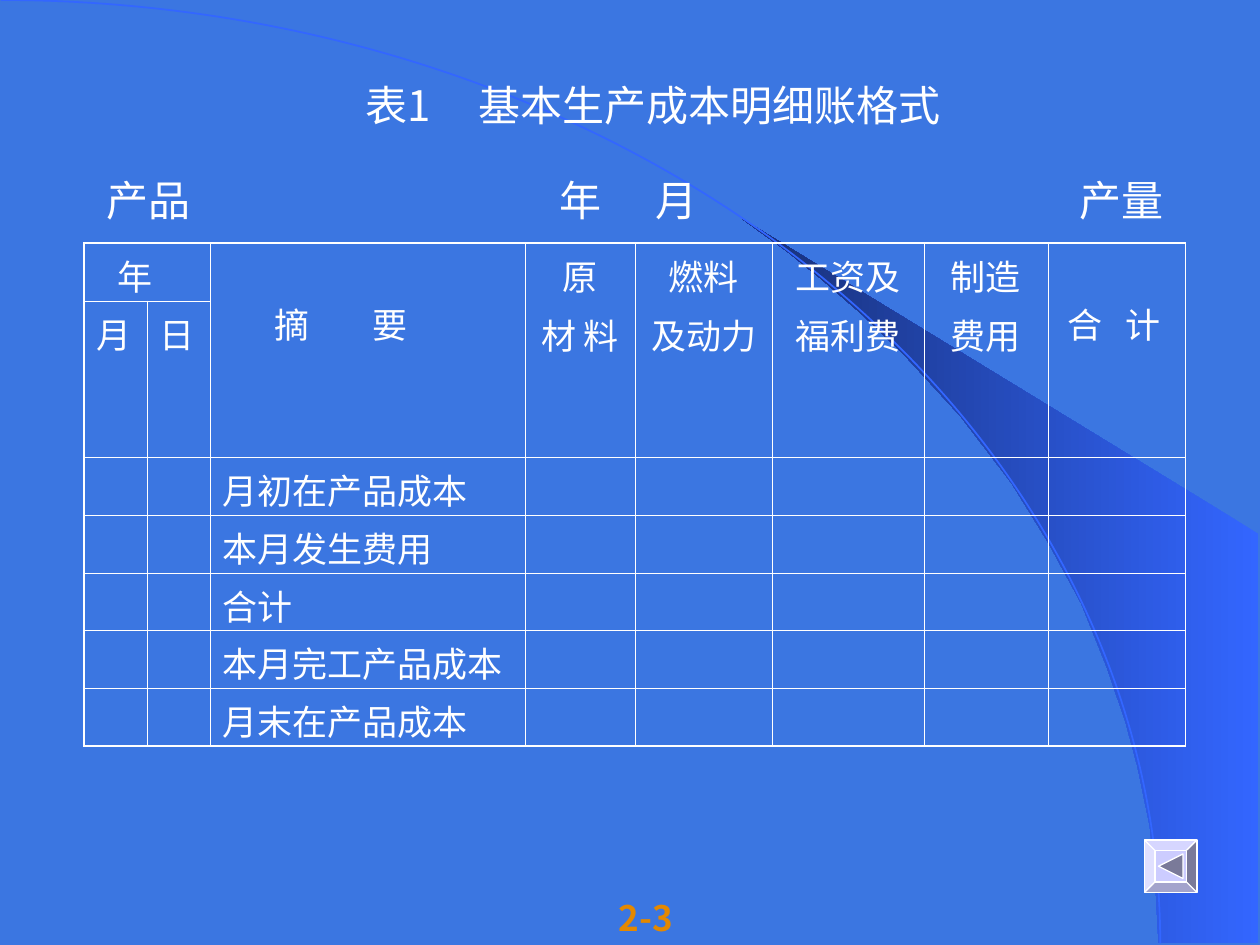
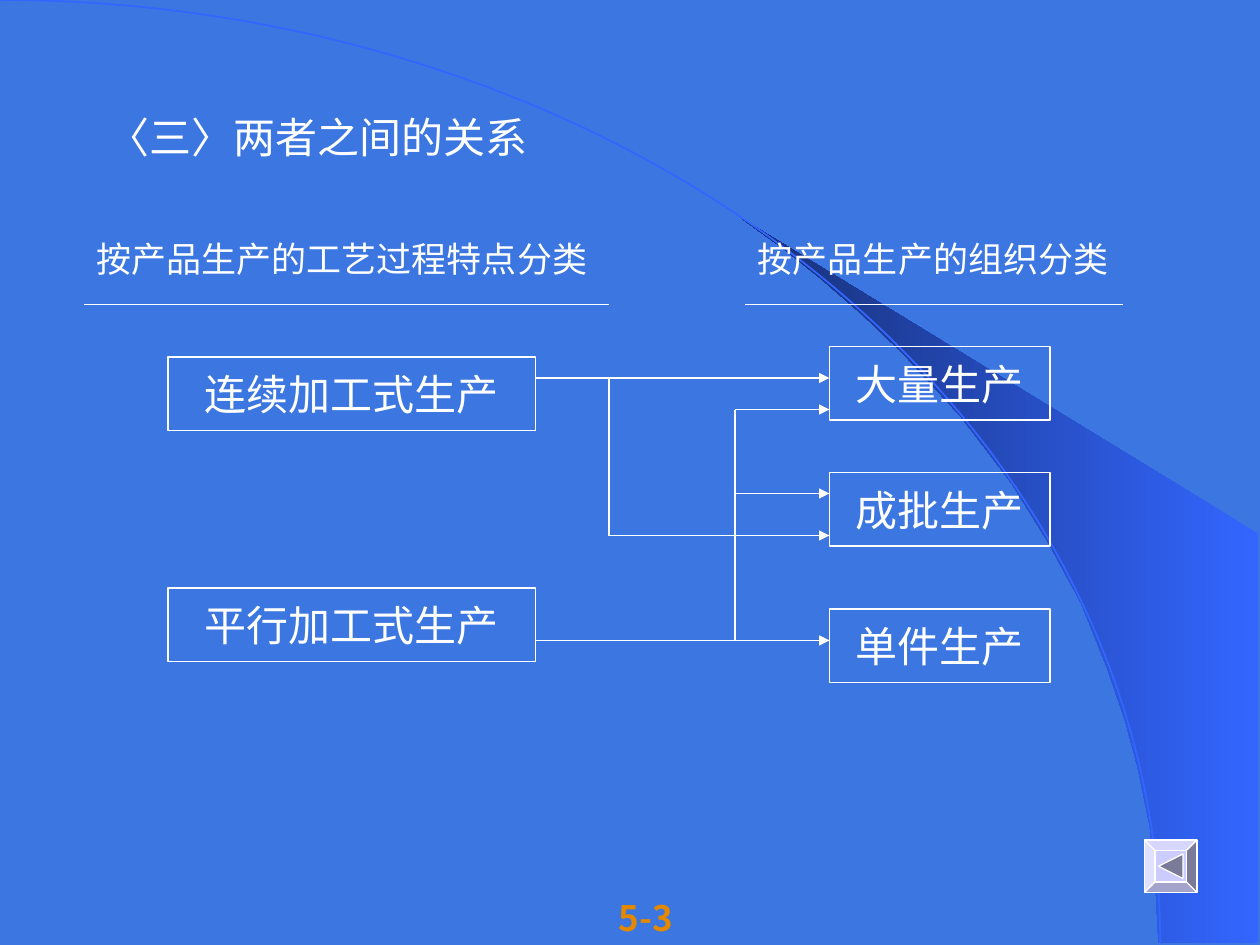
import pptx
import pptx.chart.data
import pptx.dml.color
import pptx.enum.shapes
import pptx.enum.text
import pptx.oxml
import pptx.oxml.ns
import pptx.util
from lxml import etree

Pt = pptx.util.Pt
SHAPE = pptx.enum.shapes.MSO_SHAPE
ALIGN = pptx.enum.text.PP_ALIGN
ANCHOR = pptx.enum.text.MSO_ANCHOR
qn = pptx.oxml.ns.qn

COLORS = {
    "background": "3B76E1",
    "bright": "3366FF",
    "deep": "172F75",
    "white": "FFFFFF",
    "number": "E48800",
    "button": "CCCCFF",
    "arrow": "7A7A99",
}
SANS = "Noto Sans CJK SC"
SERIF = "Times New Roman"

SWEEP = [(662, 539), (719, 539), (719, 305), (424, 125), (449, 143), (470, 160),
         (493, 180), (516, 202), (549, 238), (578, 276), (599, 310), (618, 345),
         (632, 380), (643, 412), (650, 438), (657, 472), (660, 501)]

COLUMN_WIDTHS = [36, 36, 180, 63, 78.5, 86.5, 71, 78.5]
ROW_HEIGHTS = [33, 89.5] + [33] * 5
COST_ITEMS = ["月初在产品成本", "本月发生费用", "合计", "本月完工产品成本", "月末在产品成本"]
COST_HEADERS = ["原\n材 料", "燃料\n及动力", "工资及\n福利费", "制造\n费用"]


def rgb(name):
    return pptx.dml.color.RGBColor.from_string(COLORS[name])


def points(*values):
    return [Pt(value) for value in values]


def write(frame, text, size, font=SERIF, color="white", bold=False,
          align=ALIGN.LEFT, tab=None):
    """Fill a text frame; tab is the position of a single tab stop."""
    frame.text = text
    for index, para in enumerate(frame.paragraphs):
        para.alignment = align
        if index:
            para.space_before = Pt(5)
        if tab:
            stops = etree.SubElement(para._p.get_or_add_pPr(), qn("a:tabLst"))
            etree.SubElement(stops, qn("a:tab"), pos=str(Pt(tab)), algn="l")
        for span in para.runs:
            span.font.size = Pt(size)
            span.font.name = font
            span.font.bold = bold
            span.font.color.rgb = rgb(color)


def set_title(page, text, left, top, width, font, tab=None):
    title = page.shapes.title
    title.left, title.top, title.width, title.height = points(left, top, width, 36)
    frame = title.text_frame
    frame.auto_size = pptx.enum.text.MSO_AUTO_SIZE.NONE
    frame.vertical_anchor = ANCHOR.TOP
    write(frame, text, 24, font, tab=tab)


def add_label(page, text, left, top, width, size, **style):
    box = page.shapes.add_textbox(*points(left, top, width, size * 1.2 + 7.2))
    box.text_frame.word_wrap = True
    write(box.text_frame, text, size, **style)


def add_preset(page, kind, left, top, width, height, fill=None, line="white"):
    shape = page.shapes.add_shape(kind, *points(left, top, width, height))
    shape.shadow.inherit = False
    if fill:
        shape.fill.solid()
        shape.fill.fore_color.rgb = rgb(fill)
    else:
        shape.fill.background()
    shape.line.color.rgb = rgb(line)
    shape.line.width = Pt(0.75)
    return shape


def add_process_box(page, text, left, top, width):
    shape = add_preset(page, SHAPE.RECTANGLE, left, top, width, 42)
    shape.text_frame.word_wrap = False
    shape.text_frame.vertical_anchor = ANCHOR.MIDDLE
    write(shape.text_frame, text, 24, align=ALIGN.CENTER)


def add_line(page, start, end, arrow=False):
    line = page.shapes.add_connector(
        pptx.enum.shapes.MSO_CONNECTOR.STRAIGHT, *points(*start, *end))
    line.line.color.rgb = rgb("white")
    line.line.width = Pt(0.75)
    if arrow:
        etree.SubElement(line.line._get_or_add_ln(), qn("a:tailEnd"), type="triangle")
    etree.SubElement(line.element.spPr, qn("a:effectLst"))


def add_back_button(page):
    bevel = add_preset(page, SHAPE.BEVEL, 654, 480, 30, 30, "button")
    bevel.adjustments[0] = 0.2
    arrow = add_preset(page, SHAPE.ISOSCELES_TRIANGLE, 662, 488, 14, 14, "arrow")
    arrow.rotation = 270


def add_page_number(page, text):
    add_label(page, text, 324, 509, 90, 20, font=SANS, color="number",
              bold=True, align=ALIGN.CENTER)


def decorate_layout(layout, page):
    """Draw the sweep and the arc on a page, then move them to its layout."""
    builder = page.shapes.build_freeform(*SWEEP[0], scale=Pt(1))
    builder.add_line_segments(SWEEP[1:], close=True)
    sweep = builder.convert_to_shape()
    sweep.shadow.inherit = False
    sweep.fill.gradient()
    sweep.fill.gradient_angle = 180
    for stop, color in zip(sweep.fill.gradient_stops, ("bright", "deep")):
        stop.color.rgb = rgb(color)
    sweep.line.fill.background()

    arc = add_preset(page, SHAPE.ARC, -662, 0, 1325, 1078, line="bright")
    arc.line.width = Pt(1)
    for number, shape in enumerate((sweep, arc), start=20):
        shape.element.nvSpPr.cNvPr.set("id", str(number))
        layout.shapes.element.append(shape.element)


def set_borders(cell, widths):
    """Draw the left, right, top and bottom borders, in that order."""
    properties = cell._tc.get_or_add_tcPr()
    for index, (side, width) in enumerate(zip("LRTB", widths)):
        line = etree.Element(qn(f"a:ln{side}"), w=str(Pt(width)))
        fill = etree.SubElement(line, qn("a:solidFill"))
        etree.SubElement(fill, qn("a:srgbClr"), val=COLORS["white"])
        properties.insert(index, line)


def add_ledger(page):
    rows, columns = len(ROW_HEIGHTS), len(COLUMN_WIDTHS)
    table = page.shapes.add_table(
        rows, columns, *points(48, 139, sum(COLUMN_WIDTHS), sum(ROW_HEIGHTS))).table
    table.first_row = table.horz_banding = False
    for column, width in zip(table.columns, COLUMN_WIDTHS):
        column.width = Pt(width)
    for row, height in zip(table.rows, ROW_HEIGHTS):
        row.height = Pt(height)

    for r in range(rows):
        for c in range(columns):
            cell = table.cell(r, c)
            cell.fill.background()
            on_edge = (c == 0, c == columns - 1, r == 0, r == rows - 1)
            set_borders(cell, [1.08 if edge else 0.45 for edge in on_edge])

    table.cell(0, 0).merge(table.cell(0, 1))
    for c in range(2, columns):
        table.cell(0, c).merge(table.cell(1, c))

    year = table.cell(0, 0)
    year.margin_left = Pt(19)
    write(year.text_frame, "年", 20)
    for c, text in enumerate("月日"):
        write(table.cell(1, c).text_frame, text, 20)
    for c, text, indent, tab in ((2, "摘\t要", 37, 56), (7, "合\t计", 11, 33)):
        cell = table.cell(0, c)
        cell.margin_left, cell.margin_top = points(indent, 31)
        write(cell.text_frame, text, 20, tab=tab)
    for c, text in enumerate(COST_HEADERS, start=3):
        write(table.cell(0, c).text_frame, text, 20, align=ALIGN.CENTER)
    for r, text in enumerate(COST_ITEMS, start=2):
        write(table.cell(r, 2).text_frame, text, 20)


def build_ledger_page(page):
    set_title(page, "表1\t基本生产成本明细账格式", 201.5, 42, 353, SANS, tab=65)
    add_label(page, "产量", 610, 96, 64, 24, font=SANS)
    add_label(page, "产品", 54, 96, 64, 24, font=SANS)
    add_label(page, "年\t月", 312.5, 96, 95, 24, font=SANS, tab=55)
    add_ledger(page)
    add_back_button(page)
    add_page_number(page, "2-3")


def build_relation_page(page):
    set_title(page, "〈三〉两者之间的关系", 54, 60, 612, SERIF)
    for text, left, width, rule in (("按产品生产的工艺过程特点分类", 48, 300, 300),
                                    ("按产品生产的组织分类", 426, 222, 216)):
        add_label(page, text, left, 132, width, 20)
        add_line(page, (left, 174), (left + rule, 174))

    for text, top in (("连续加工式生产", 204), ("平行加工式生产", 336)):
        add_process_box(page, text, 96, top, 210)
    for text, top in (("大量生产", 198), ("成批生产", 270), ("单件生产", 348)):
        add_process_box(page, text, 474, top, 126)

    process_edge, continuous_branch, parallel_branch, output_edge = 306, 348, 420, 474
    for x, y in ((process_edge, 216), (process_edge, 366), (parallel_branch, 234),
                 (parallel_branch, 282), (continuous_branch, 306)):
        add_line(page, (x, y), (output_edge, y), arrow=True)
    add_line(page, (parallel_branch, 366), (parallel_branch, 234))
    add_line(page, (continuous_branch, 216), (continuous_branch, 306))
    add_page_number(page, "5-3")
    add_back_button(page)


def main():
    deck = pptx.Presentation()
    deck.slide_width, deck.slide_height = points(720, 540)
    background = deck.slide_master.background.fill
    background.solid()
    background.fore_color.rgb = rgb("background")

    layout = deck.slide_layouts.get_by_name("Title Only")
    ledger_page = deck.slides.add_slide(layout)
    decorate_layout(layout, ledger_page)
    build_ledger_page(ledger_page)
    build_relation_page(deck.slides.add_slide(layout))
    deck.save("out.pptx")


if __name__ == "__main__":
    main()
